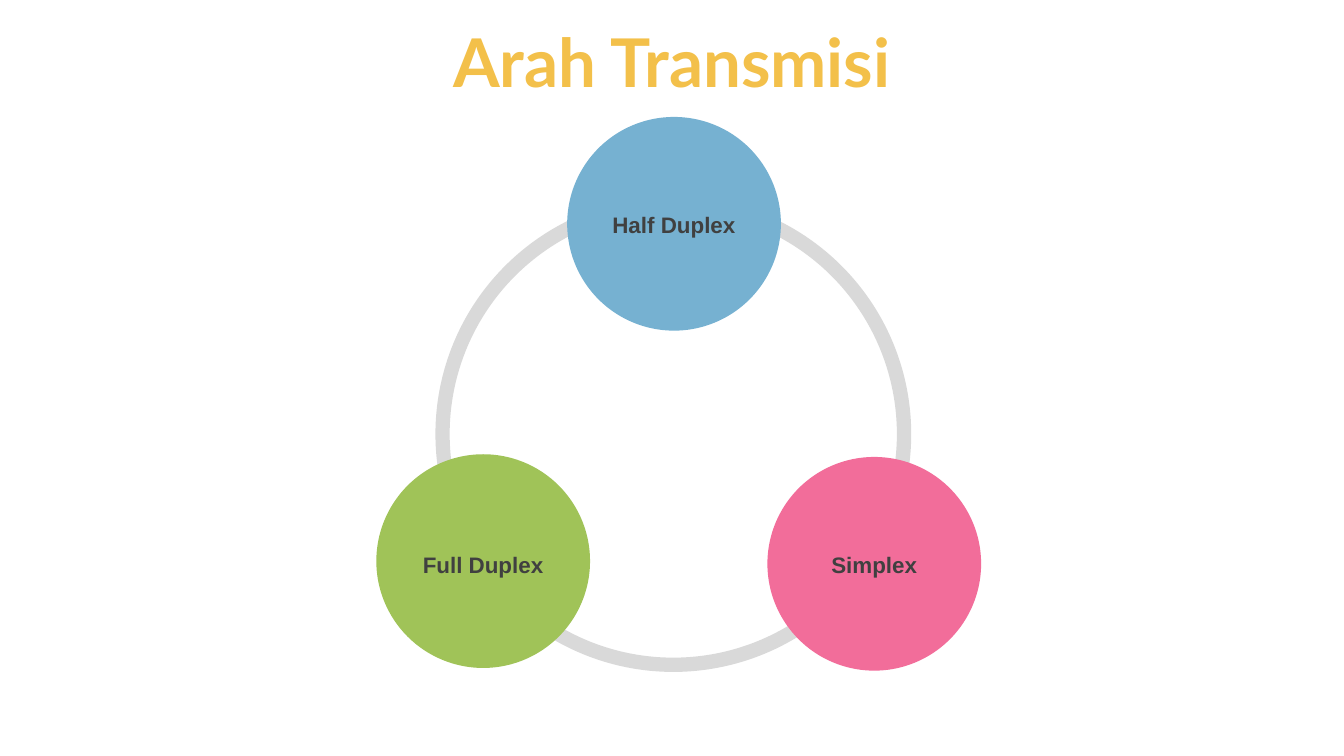
from pptx import Presentation
from pptx.dml.color import RGBColor
from pptx.enum.shapes import MSO_SHAPE
from pptx.enum.text import MSO_ANCHOR, MSO_AUTO_SIZE, PP_ALIGN
from pptx.util import Inches, Pt

TITLE = "Arah Transmisi"
MODES = [
    ("Half Duplex", "76B1D1", 4.22, 0.87, 6.53, 1.52),
    ("Full Duplex", "A0C358", 2.8, 3.38, 6.53, 4.05),
    ("Simplex", "F26D9A", 5.71, 3.4, 3.1, 4.05),
]
DISC = 1.59
LABEL = 0.3


def color(code):
    return RGBColor.from_string(code)


def box(*sides):
    return [Inches(side) for side in sides]


def write(shape, text, size=12, font="Arial", fill="404040",
          anchor=MSO_ANCHOR.TOP, fit=MSO_AUTO_SIZE.SHAPE_TO_FIT_TEXT):
    frame = shape.text_frame
    frame.word_wrap = True
    frame.auto_size = fit
    frame.vertical_anchor = anchor
    para = frame.paragraphs[0]
    para.alignment = PP_ALIGN.CENTER
    run = para.add_run()
    run.text = text
    run.font.size = Pt(size)
    run.font.name = font
    run.font.bold = True
    run.font.color.rgb = color(fill)


def draw(kind, left, top, size, fill):
    shape = slide.shapes.add_shape(kind, *box(left, top, size, size))
    shape.shadow.inherit = False
    shape.fill.solid()
    shape.fill.fore_color.rgb = color(fill)
    shape.line.fill.background()
    return shape


deck = Presentation()
deck.slide_width = Inches(10)
deck.slide_height = deck.slide_width * 9 // 16
slide = deck.slides.add_slide(deck.slide_layouts[5])

title = slide.shapes.title
title.left, title.top, title.width, title.height = box(0, 0.03, 10, 0.85)
write(title, TITLE, size=36, font="Lato", fill="F3C04A",
      anchor=MSO_ANCHOR.MIDDLE, fit=MSO_AUTO_SIZE.NONE)

ring = draw(MSO_SHAPE.DONUT, 3.24, 1.46, 3.54, "D9D9D9")
ring.adjustments[0] = 0.03

for name, fill, left, top, width, base in MODES:
    draw(MSO_SHAPE.OVAL, left, top, DISC, fill)

for name, fill, left, top, width, base in MODES:
    x = left + (DISC - width) / 2
    write(slide.shapes.add_textbox(*box(x, base, width, LABEL)), name)

deck.save("out.pptx")
